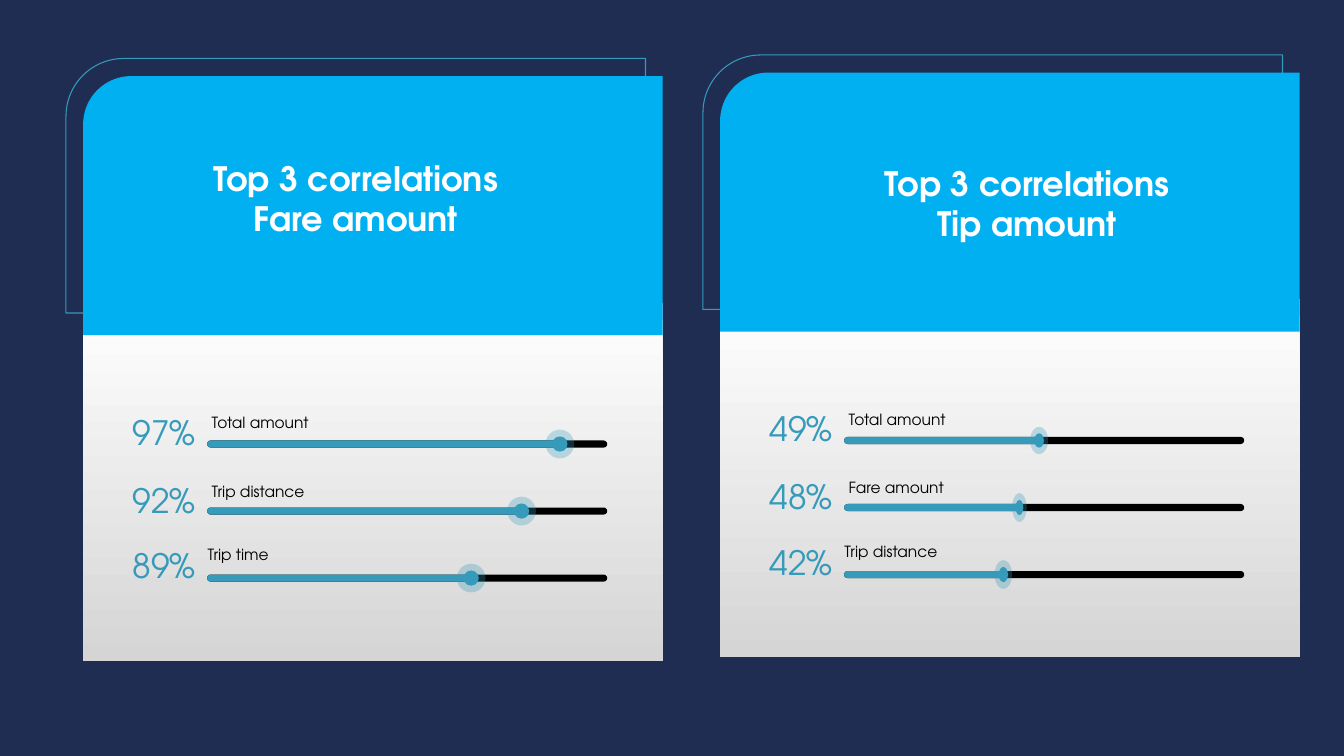
from lxml import etree
from pptx import Presentation
from pptx.dml.color import RGBColor
from pptx.enum.shapes import MSO_SHAPE
from pptx.enum.text import MSO_ANCHOR, MSO_AUTO_SIZE, PP_ALIGN
from pptx.oxml.ns import qn
from pptx.util import Inches, Pt

RECT, CORNER = MSO_SHAPE.RECTANGLE, MSO_SHAPE.ROUND_1_RECTANGLE
ROUND, OVAL = MSO_SHAPE.ROUNDED_RECTANGLE, MSO_SHAPE.OVAL
CENTER, RIGHT, JUSTIFY = PP_ALIGN.CENTER, PP_ALIGN.RIGHT, PP_ALIGN.JUSTIFY
TOP, FIXED = MSO_ANCHOR.TOP, MSO_AUTO_SIZE.NONE

THEME = {
    "font": "TeX Gyre Adventor",
    "navy": "202D52", "sky": "00B0F0", "teal": "369ABA",
    "white": "FFFFFF", "grey": "D5D5D5", "black": "000000",
    "big": 48, "small": 22,
}

# The slide is a grid of 26.67 columns by 15 rows
COLS, ROWS = 26.67, 15
CELL = Inches(1)

deck = Presentation()
deck.slide_width, deck.slide_height = int(COLS * CELL), ROWS * CELL
slide = deck.slides.add_slide(deck.slide_layouts.get_by_name("Comparison"))
holders = {p.placeholder_format.idx: p for p in slide.placeholders}
for idx in (2, 3, 4):
    holders[idx].element.getparent().remove(holders[idx].element)
slide.background.fill.solid()
slide.background.fill.fore_color.rgb = RGBColor.from_string(THEME["navy"])


def draw(kind, x, y, w, h, color=None, round_by=None):
    """Add a shape in grid cells, without line; no color means no fill."""
    shape = slide.shapes.add_shape(kind, *(int(v * CELL) for v in (x, y, w, h)))
    shape.shadow.inherit = False
    shape.line.fill.background()
    if color:
        shape.fill.solid()
        shape.fill.fore_color.rgb = RGBColor.from_string(THEME[color])
    else:
        shape.fill.background()
    if round_by is not None:
        shape.adjustments[0] = round_by
    if kind == CORNER:
        shape.element.spPr.find(qn("a:xfrm")).set("flipH", "1")
    return shape


def write(box, area, text, size, color, align, inset, space=1, bold=False):
    """Place a box in grid cells and fill it with styled text."""
    box.left, box.top, box.width, box.height = (int(v * CELL) for v in area)
    frame = box.text_frame
    frame.text = text
    frame.word_wrap, frame.auto_size = True, FIXED
    frame.vertical_anchor = TOP
    frame.margin_left = frame.margin_right = int(inset[0] * CELL)
    frame.margin_top = frame.margin_bottom = int(inset[1] * CELL)
    for para in frame.paragraphs:
        para.alignment, para.line_spacing = align, space
        para.space_before = Pt(0)
        for run in para.runs:
            run.font.name, run.font.size = THEME["font"], Pt(THEME[size])
            run.font.color.rgb = RGBColor.from_string(THEME[color])
            run.font.bold = bold


# Panel: left, top, heading holder, heading offset, heading,
# then rows of percent, label, bar length, knob width, knob height
PANELS = [
    (1.65, 1.51, holders[0], (1.29, 1.56), "Top 3 correlations\nFare amount", [
        ("97%", "Total amount", 7, 0.57, 0.57),
        ("92%", "Trip distance", 6.24, 0.57, 0.57),
        ("89%", "Trip time", 5.24, 0.57, 0.57)]),
    (14.29, 1.44, holders[1], (1.97, 1.73), "Top 3 correlations\nTip amount", [
        ("49%", "Total amount", 3.87, 0.36, 0.54),
        ("48%", "Fare amount", 3.48, 0.29, 0.57),
        ("42%", "Trip distance", 3.16, 0.35, 0.57)]),
]
WIDE, TRACK, THICK, STEP = 11.5, 7.94, 0.14, 1.33
LABELS = [(2.45, 6.53), (2.45, 7.89), (2.37, 9.15)]
SHARES = [6.64, 7.99, 9.29]

for left, top, holder, (dx, dy), title, rows in PANELS:
    # Outline, card and header
    frame = draw(CORNER, left - 0.34, top - 0.35, WIDE, 5.05, round_by=0.227)
    frame.line.color.rgb = RGBColor.from_string(THEME["teal"])
    frame.line.width = Pt(1.5)
    card = draw(RECT, left, top + 4.5, WIDE, 7.1)
    card.fill.gradient()
    card.fill.gradient_angle = 270
    for stop, name in zip(card.fill.gradient_stops, ("white", "grey")):
        stop.color.rgb = RGBColor.from_string(THEME[name])
    draw(CORNER, left, top, WIDE, 5.14, "sky", 0.186)

    # Heading, brought in front of the header
    write(holder, (left + dx, top + dy, 8.24, 1.73), title,
          "big", "white", CENTER, (0.06, 0.06), bold=True)
    slide.shapes._spTree.append(holder.element)

    # Slider rows
    for i, (share, label, length, wide, high) in enumerate(rows):
        x, y = left + 2.46, top + 7.23 + i * STEP
        draw(ROUND, x, y, TRACK, THICK, "black", 0.5)
        draw(ROUND, x, y, length, THICK, "teal", 0.5)
        for scale, alpha in ((1, 30), (0.53, 100)):
            w, h = wide * scale, high * scale
            knob = draw(OVAL, x + length - w / 2, y + (THICK - h) / 2, w, h, "teal")
            if alpha < 100:
                tint = knob.element.spPr.find(".//" + qn("a:srgbClr"))
                etree.SubElement(tint, qn("a:alpha")).set("val", str(alpha * 1000))

        lx, ly = LABELS[i]
        write(slide.shapes.add_textbox(0, 0, 0, 0),
              (left + lx, top + ly, TRACK, 0.53), label,
              "small", "black", JUSTIFY, (0.1, 0.05), 1.3)
        write(slide.shapes.add_textbox(0, 0, 0, 0),
              (left + 0.7, top + SHARES[i], 1.65, 0.95), share,
              "big", "teal", RIGHT, (0.11, 0.11), 0.9)

deck.save("out.pptx")
